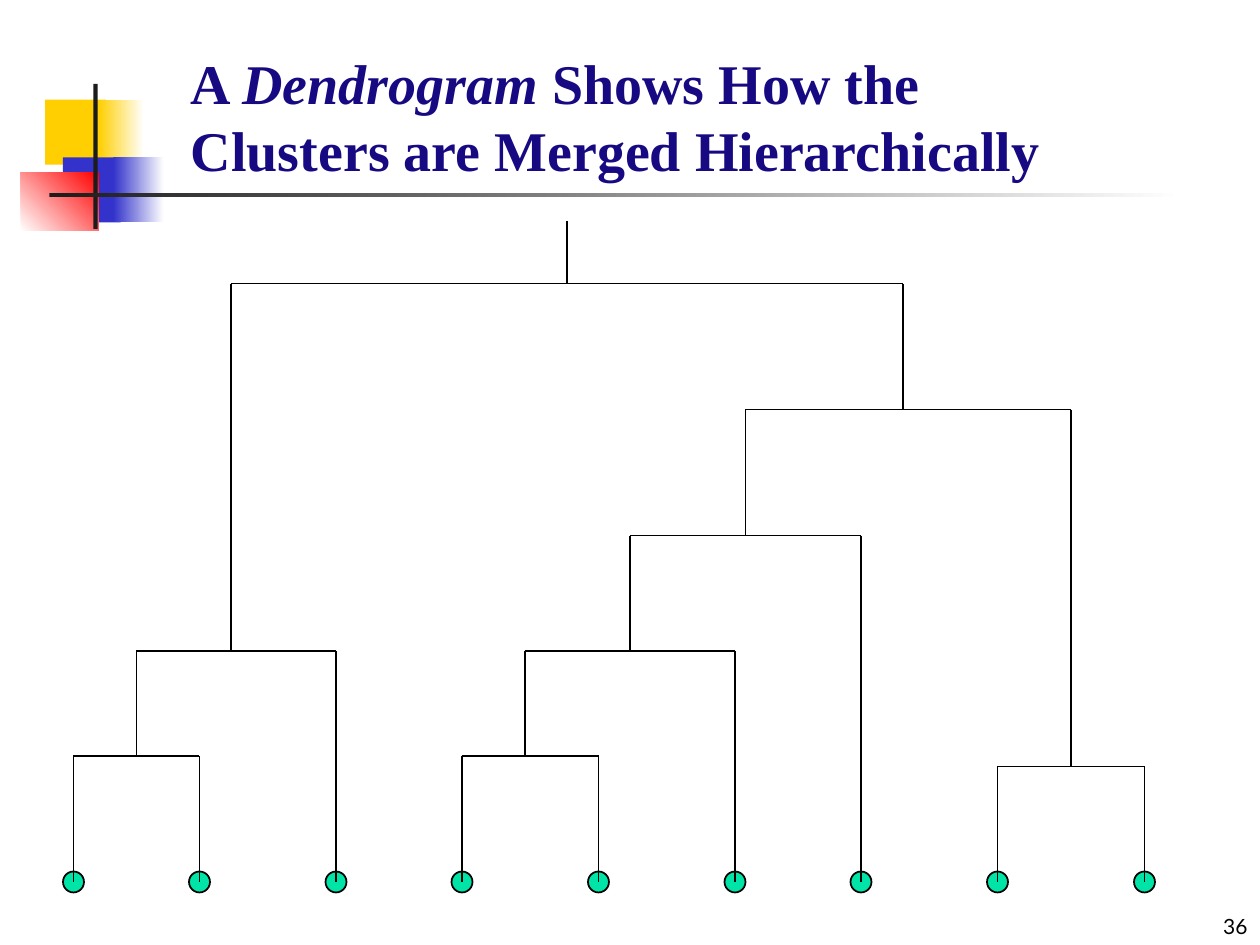
import pptx
import pptx.util
import pptx.dml.color
import pptx.enum.shapes
import pptx.enum.text
import pptx.oxml.ns
import lxml.etree

PX = 7620  # 120 px to the inch
SHAPES = pptx.enum.shapes.MSO_SHAPE

deck = pptx.Presentation()
deck.slide_width = 1200 * PX
deck.slide_height = 900 * PX
page = deck.slides.add_slide(deck.slide_layouts[6])


def color(hex_string):
    return pptx.dml.color.RGBColor.from_string(hex_string)


def add_line(x1, y1, x2, y2):
    line = page.shapes.add_connector(
        pptx.enum.shapes.MSO_CONNECTOR.STRAIGHT, x1 * PX, y1 * PX, x2 * PX, y2 * PX)
    line.line.color.rgb = color("000000")
    line.line.width = pptx.util.Pt(1)
    lxml.etree.SubElement(line._element.spPr, pptx.oxml.ns.qn("a:effectLst"))


# Corner decoration: left, top, width, height, start colour, end colour, angle
decoration = [
    (43, 95, 58, 62, "FFCF01", None, 0),
    (94, 95, 43, 62, "FFCF01", "FFFFFF", 0),
    (60, 150, 55, 62, "3333CC", None, 0),
    (108, 150, 48, 62, "3333CC", "FFFFFF", 0),
    (20, 164, 74, 56, "FFFFFF", "FF0000", 45),
    (89, 80, 4, 138, "1C1C1C", None, 0),
    (47, 184, 1080, 4, "1C1C1C", "FFFFFF", 0),
]
for left, top, width, height, start, end, angle in decoration:
    block = page.shapes.add_shape(
        SHAPES.RECTANGLE, left * PX, top * PX, width * PX, height * PX)
    block.shadow.inherit = False
    block.line.fill.background()
    if end is None:
        block.fill.solid()
        block.fill.fore_color.rgb = color(start)
    else:
        block.fill.gradient()
        block.fill.gradient_angle = angle
        for stop, shade, position in zip(block.fill.gradient_stops, (start, end), (0, 1)):
            stop.color.rgb = color(shade)
            stop.position = position

# Title
title = page.shapes.add_textbox(170 * PX, 40 * PX, 910 * PX, 140 * PX)
title.text_frame.word_wrap = True
para = title.text_frame.paragraphs[0]
para.font.name = "Times New Roman"
para.font.size = pptx.util.Pt(32)
para.font.bold = True
para.font.color.rgb = color("170981")
for text, italic in [("A ", False), ("Dendrogram", True),
                     (" Shows How the Clusters are Merged Hierarchically", False)]:
    span = para.add_run()
    span.text = text
    span.font.italic = italic

# Leaves
LEAF_Y = 840
RADIUS = 10
for x in (70, 190, 320, 440, 570, 700, 820, 950, 1090):
    leaf = page.shapes.add_shape(
        SHAPES.OVAL, (x - RADIUS) * PX, (LEAF_Y - RADIUS) * PX,
        2 * RADIUS * PX, 2 * RADIUS * PX)
    leaf.shadow.inherit = False
    leaf.fill.solid()
    leaf.fill.fore_color.rgb = color("00E4A8")
    leaf.line.color.rgb = color("000000")
    leaf.line.width = pptx.util.Pt(1)

# Merges: left x, left foot, right x, right foot, height of the joining bar
merges = [
    (70, LEAF_Y, 190, LEAF_Y, 720),
    (440, LEAF_Y, 570, LEAF_Y, 720),
    (950, LEAF_Y, 1090, LEAF_Y, 730),
    (130, 720, 320, LEAF_Y, 620),
    (500, 720, 700, LEAF_Y, 620),
    (600, 620, 820, LEAF_Y, 510),
    (710, 510, 1020, 730, 390),
    (220, 620, 860, 390, 270),
]
for left, left_foot, right, right_foot, bar in merges:
    add_line(left, left_foot, left, bar)
    add_line(left, bar, right, bar)
    add_line(right, bar, right, right_foot)
add_line(540, 270, 540, 210)

# Page number
number = page.shapes.add_textbox(950 * PX, 850 * PX, 250 * PX, 50 * PX)
number.text_frame.word_wrap = True
number.text_frame.vertical_anchor = pptx.enum.text.MSO_ANCHOR.BOTTOM
para = number.text_frame.paragraphs[0]
para.text = "36"
para.alignment = pptx.enum.text.PP_ALIGN.RIGHT
para.font.name = "Lato"
para.font.size = pptx.util.Pt(12)
para.font.color.rgb = color("000000")

deck.save("out.pptx")
